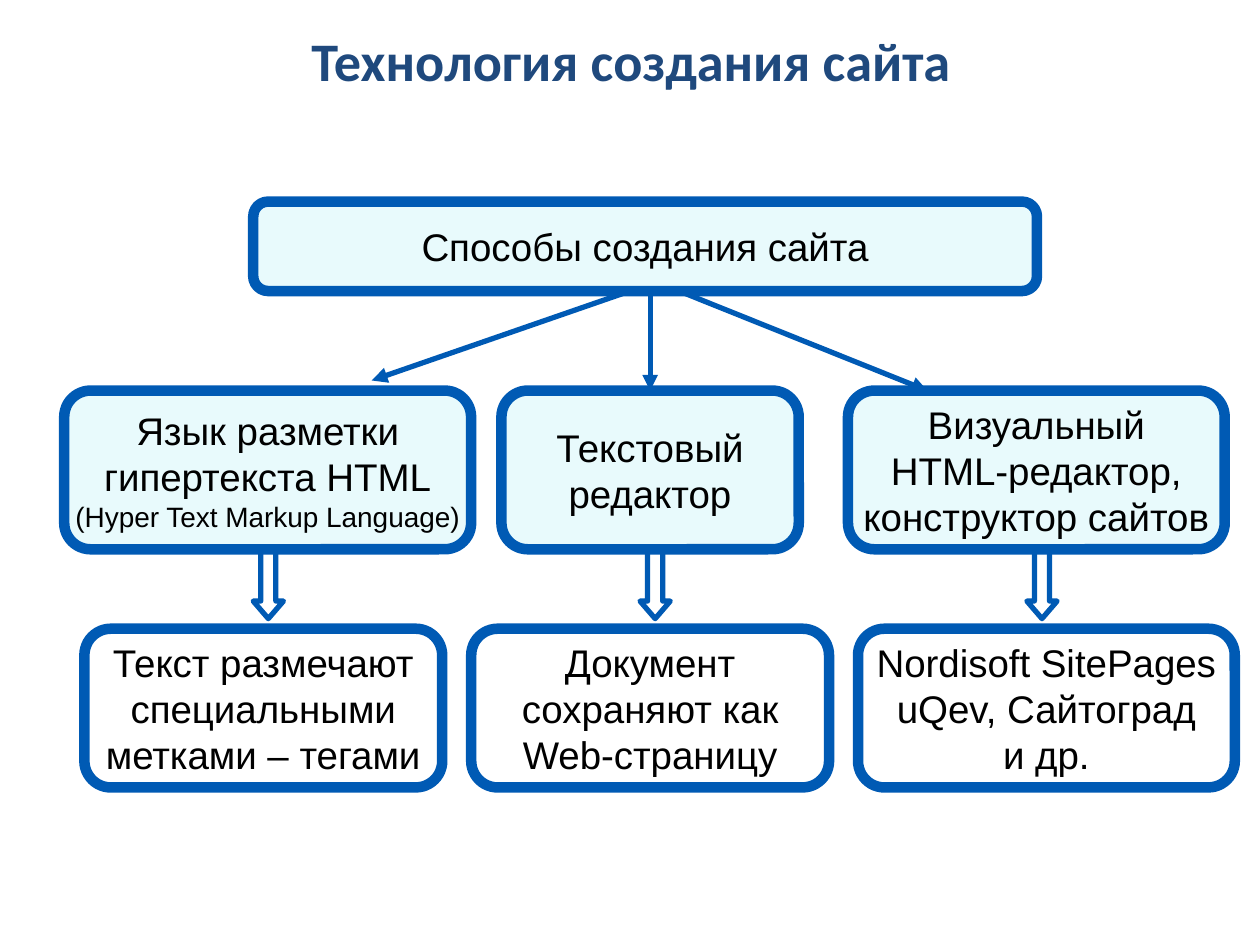
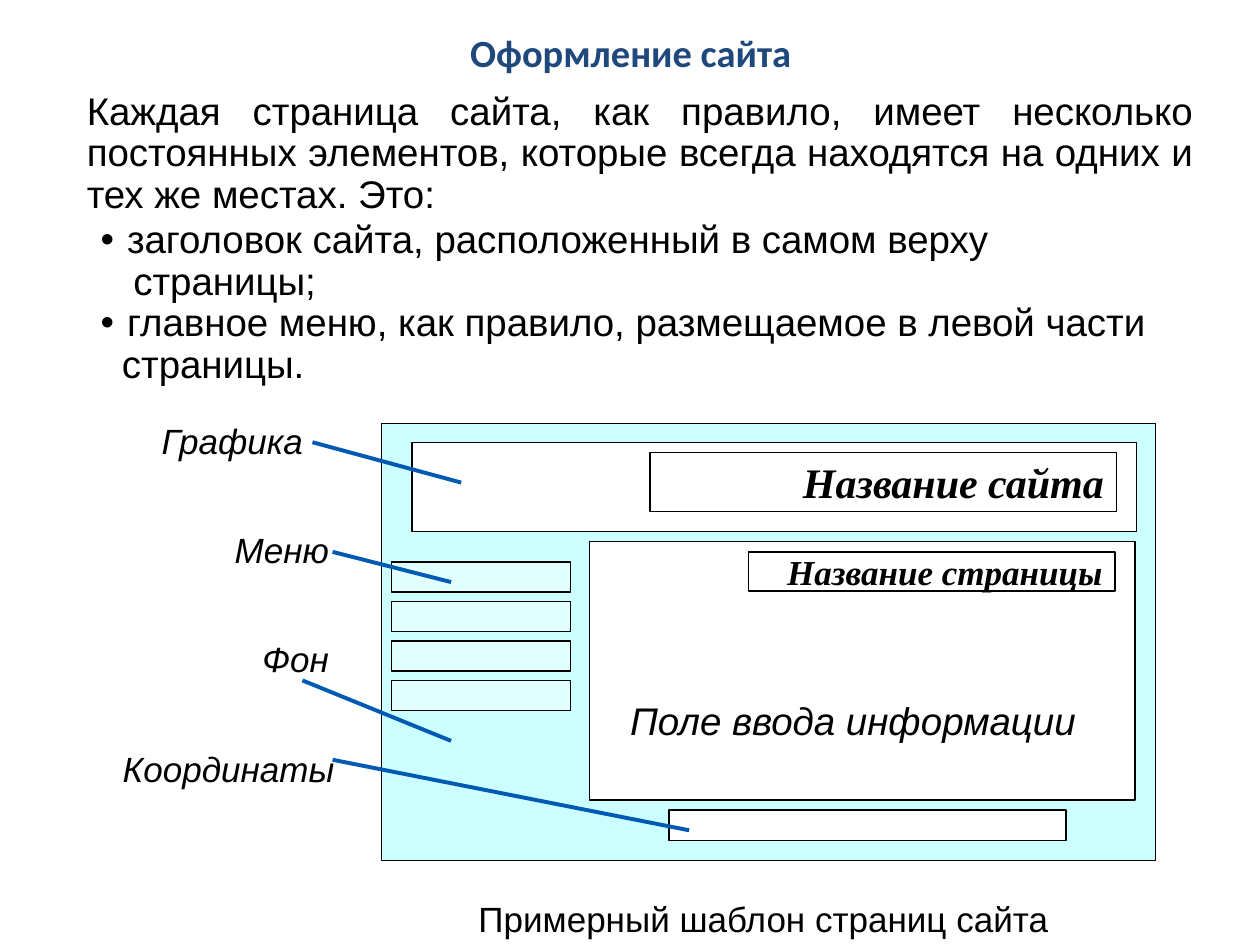
from dataclasses import dataclass

from lxml.etree import SubElement as Sub
from pptx import Presentation
from pptx.dml.color import RGBColor
from pptx.enum.shapes import MSO_CONNECTOR as Link, MSO_SHAPE as Kind
from pptx.enum.text import MSO_ANCHOR as Anchor, PP_ALIGN as Align
from pptx.oxml.ns import qn
from pptx.util import Inches, Pt

# Shared look
BLUE, NAVY, BLACK, WHITE = "005AB4", "1F497D", "000000", "FFFFFF"
ICE, AQUA, PALE = "E8FAFC", "CCFFFF", "E1FFFF"
SANS, SERIF, HEAD = "Arial", "Times New Roman", "Calibri"


@dataclass
class Box:
    left: float
    top: float
    width: float
    height: float
    text: str = ""
    fill: str | None = None


@dataclass
class Line:
    x1: float
    y1: float
    x2: float
    y2: float


def color(code: str) -> RGBColor:
    return RGBColor.from_string(code)


def place(box: Box) -> list:
    return [Inches(v) for v in (box.left, box.top, box.width, box.height)]


def write(shape, text: str, size=22, font=SANS, ink=BLACK, bold=False,
          slant=False, align=Align.CENTER, space=1.0, wrap=True,
          anchor=Anchor.MIDDLE) -> list:
    """Fill the shape, one paragraph for each line of text."""
    frame = shape.text_frame
    frame.word_wrap = wrap
    frame.vertical_anchor = anchor
    paras = []
    for i, line in enumerate(text.split("\n")):
        para = frame.add_paragraph() if i else frame.paragraphs[0]
        para.alignment, para.line_spacing = align, space
        run = para.add_run()
        run.text = line
        face = run.font
        face.name, face.size = font, Pt(size)
        face.bold, face.italic = bold, slant
        face.color.rgb = color(ink)
        paras.append(para)
    return paras


def label(slide, box: Box, **form) -> list:
    form = {"anchor": Anchor.TOP, **form}
    return write(slide.shapes.add_textbox(*place(box)), box.text, **form)


def title(slide, text: str, height: float, size: int) -> None:
    label(slide, Box(0.51, 0.21, 8.99, height, text), size=size, font=HEAD,
          ink=NAVY, bold=True, space=0.8, anchor=Anchor.MIDDLE)


def draw(slide, kind, box: Box, edge: str, weight: float, **form):
    shape = slide.shapes.add_shape(kind, *place(box))
    shape.shadow.inherit = False
    if box.fill:
        shape.fill.solid()
        shape.fill.fore_color.rgb = color(box.fill)
    else:
        shape.fill.background()
    shape.line.color.rgb = color(edge)
    shape.line.width = Pt(weight)
    paras = write(shape, box.text, wrap=False, **form) if box.text else []
    return shape, paras


def node(slide, box: Box) -> list:
    return draw(slide, Kind.ROUNDED_RECTANGLE, box, BLUE, 6)[1]


def panel(slide, box: Box, **form) -> None:
    draw(slide, Kind.RECTANGLE, box, BLACK, 0.75, **form)


def link(slide, line: Line, weight: float, arrow=False) -> None:
    ends = [Inches(v) for v in (line.x1, line.y1, line.x2, line.y2)]
    wire = slide.shapes.add_connector(Link.STRAIGHT, *ends)
    wire.line.color.rgb = color(BLUE)
    wire.line.width = Pt(weight)
    if arrow:
        Sub(wire.line._get_or_add_ln(), qn("a:tailEnd"), type="triangle")
    Sub(wire._element.spPr, qn("a:effectLst"))


def indent(para, left: float, first=0.0, mark="") -> None:
    props = para._p.get_or_add_pPr()
    props.set("marL", str(Inches(left)))
    props.set("indent", str(Inches(first)))
    if mark:
        Sub(props, qn("a:buFont"), typeface=SANS)
        Sub(props, qn("a:buChar"), char=mark)


def methods(slide) -> None:
    """Tree of the ways to make a site."""
    title(slide, "Технология создания сайта", 0.63, 31)

    # Ways, with the long name of HTML in small type
    top, high = 3.1, 1.26
    html = node(slide, Box(0.51, top, 3.23, high,
                           "Язык разметки\nгипертекста HTML\n"
                           "(Hyper Text Markup Language)", ICE))
    html[-1].runs[0].font.size = Pt(16)
    node(slide, Box(3.98, top, 2.36, high, "Текстовый\nредактор", ICE))
    node(slide, Box(6.73, top, 2.99, high,
                    "Визуальный\nHTML-редактор,\nконструктор сайтов", ICE))

    # Results
    for left, width, text in (
        (0.67, 2.84, "Текст размечают\nспециальными\nметками – тегами"),
        (3.74, 2.84, "Документ\nсохраняют как\nWeb-страницу"),
        (6.81, 2.99, "Nordisoft SitePages\nuQev, Сайтоград\nи др."),
    ):
        node(slide, Box(left, 4.99, width, high, text))

    # Arrows from the root to the ways, and from the ways to the results
    for start, end, low in ((5, 2.95, 3.02), (5.16, 5.16, top),
                            (5.39, 7.36, top)):
        link(slide, Line(start, 2.31, end, low), 3, arrow=True)
    for i in range(3):
        arrow, _ = draw(slide, Kind.DOWN_ARROW,
                        Box(2.01 + 3.07 * i, top + high, 0.24, 0.55), BLUE, 3)
        arrow.adjustments[1] = 0.58

    # Root
    node(slide, Box(2.01, 1.6, 6.22, 0.71, "Способы создания сайта", ICE))


def layout(slide) -> None:
    """Parts of a page and a labelled model of it."""
    title(slide, "Оформление сайта", 0.47, 22)
    label(slide, Box(0.59, 0.68, 8.98, 1.09,
                     "Каждая страница сайта, как правило, имеет несколько "
                     "постоянных элементов, которые всегда находятся на "
                     "одних и тех же местах. Это:"),
          align=Align.JUSTIFY, space=0.9)

    # Bullets, each with an indented second line
    items = label(slide, Box(0.51, 1.7, 8.98, 1.42,
                             "заголовок сайта, расположенный в самом верху\n"
                             "страницы;\n"
                             "главное меню, как правило, размещаемое в левой "
                             "части\nстраницы."),
                  align=Align.JUSTIFY, space=0.9)
    for para in items[::2]:
        indent(para, 0.4, -0.21, "•")
    for para, left in zip(items[1::2], (0.45, 0.36)):
        indent(para, left)

    # Page model
    name = dict(font=SERIF, bold=True, slant=True, align=Align.RIGHT)
    panel(slide, Box(3.03, 3.36, 6.14, 3.47, fill=AQUA))
    panel(slide, Box(3.27, 3.51, 5.75, 0.71, fill=WHITE))
    panel(slide, Box(5.16, 3.59, 3.7, 0.47, "Название сайта", WHITE),
          size=24, **name)
    panel(slide, Box(4.68, 4.3, 4.33, 2.05, fill=WHITE))
    panel(slide, Box(5.94, 4.38, 2.91, 0.31, "Название страницы", WHITE),
          size=20, **name)
    label(slide, Box(4.76, 5.48, 4.02, 0.47, "Поле ввода информации"),
          slant=True)
    panel(slide, Box(5.31, 6.43, 3.15, 0.24, fill=WHITE))
    for i in range(4):
        panel(slide, Box(3.11, 4.46 + 0.94 / 3 * i, 1.42, 0.24, fill=PALE))

    # Labels and their lines
    for i, (text, left, width, align, line) in enumerate((
        ("Графика", 0.98, 1.73, Align.CENTER, Line(2.48, 3.51, 3.66, 3.83)),
        ("Меню", 0.98, 1.73, Align.RIGHT, Line(2.64, 4.38, 3.58, 4.62)),
        ("Фон", 0.98, 1.73, Align.RIGHT, Line(2.4, 5.4, 3.58, 5.88)),
        ("Координаты", 0.83, 1.97, Align.CENTER, Line(2.64, 6.03, 5.47, 6.59)),
    )):
        label(slide, Box(left, 3.28 + 2.6 / 3 * i, width, 0.44, text),
              size=20, slant=True, align=align)
        link(slide, line, 2.25)

    # Caption
    label(slide, Box(3.03, 7.07, 6.06, 0.44, "Примерный шаблон страниц сайта"),
          size=20)


def main() -> None:
    deck = Presentation()
    deck.slide_width, deck.slide_height = Inches(10), Inches(7.5)
    for build in (methods, layout):
        build(deck.slides.add_slide(deck.slide_layouts[6]))
    deck.save("out.pptx")


if __name__ == "__main__":
    main()
